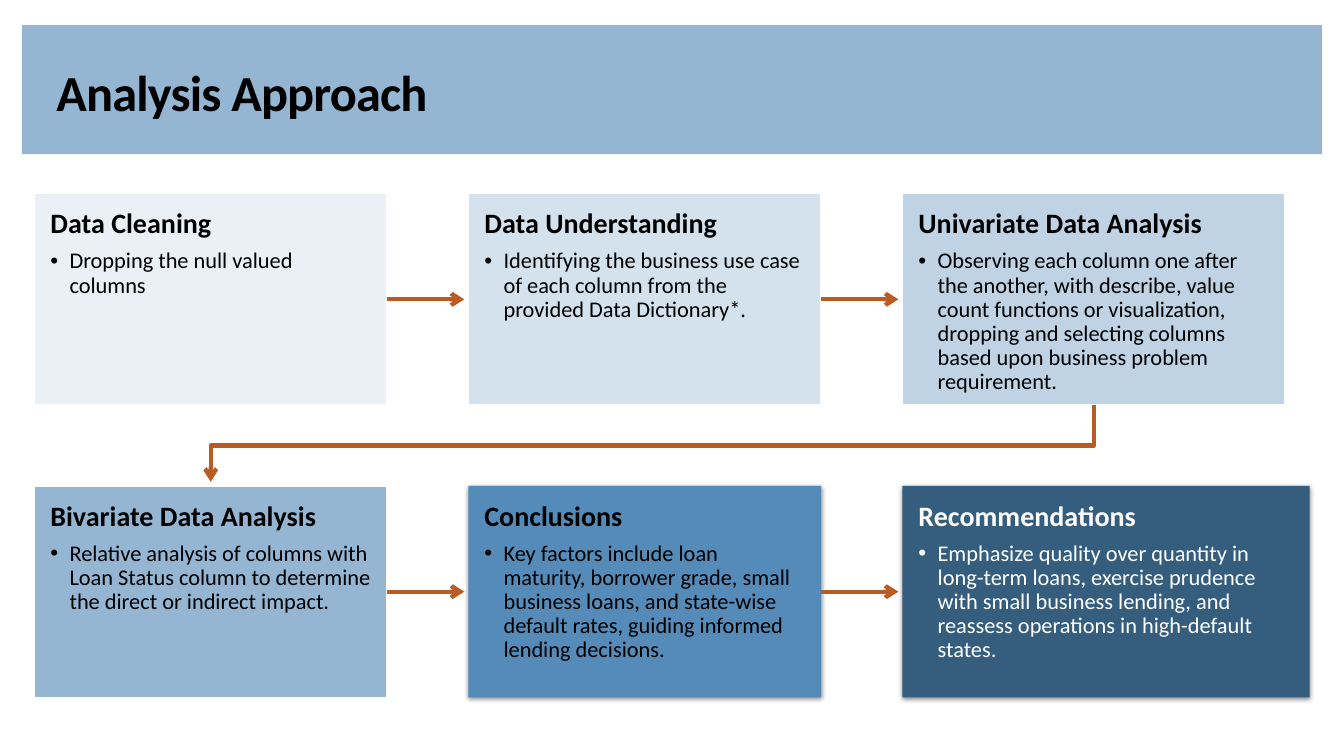
import dataclasses

import lxml.etree
import pptx
import pptx.dml.color
import pptx.enum.shapes
import pptx.enum.text
import pptx.oxml.ns
import pptx.util

Inches = pptx.util.Inches
Pt = pptx.util.Pt


@dataclasses.dataclass
class Theme:
    font: str = "Calibri"
    black: str = "000000"
    white: str = "FFFFFF"
    band: str = "94B6D2"
    arrow: str = "B95B22"
    fills: tuple = ("EAF0F6", "D4E2ED", "BFD3E4", "94B6D2", "558BB8", "355D7E")
    title: int = 36
    head: int = 20
    body: int = 16


STEPS = [
    ("Data Cleaning", "Dropping the null valued columns"),
    ("Data Understanding",
     "Identifying the business use case of each column from the provided Data Dictionary*."),
    ("Univariate Data Analysis",
     "Observing each column one after the another, with describe, value count functions or "
     "visualization, dropping and selecting columns based upon business problem requirement."),
    ("Bivariate Data Analysis",
     "Relative analysis of columns with Loan Status column to determine the direct or "
     "indirect impact."),
    ("Conclusions",
     "Key factors include loan maturity, borrower grade, small business loans, and "
     "state-wise default rates, guiding informed lending decisions."),
    ("Recommendations",
     "Emphasize quality over quantity in long-term loans, exercise prudence with small "
     "business lending, and reassess operations in high-default states."),
]
WIDTHS = (3.5, 3.5, 3.8, 3.5, 3.5, 4.04)
LEFT, TOP, HIGH = 0.34, 1.92, 2.1
STEP_X, STEP_Y = 4.305, 2.9
GAP = 0.04


def rgb(code):
    return pptx.dml.color.RGBColor.from_string(code)


def node(root, tag, **attrs):
    return lxml.etree.SubElement(root, pptx.oxml.ns.qn(tag), attrs)


def write(para, text, font, size, color, bold=False, after=0, track=None, dot=False):
    para.alignment = pptx.enum.text.PP_ALIGN.LEFT
    para.line_spacing = 0.9
    para.space_before = Pt(0)
    para.space_after = Pt(after)
    run = para.add_run()
    run.text = text
    run.font.name = font
    run.font.size = Pt(size)
    run.font.bold = bold
    run.font.color.rgb = rgb(color)
    if track is not None:
        run.font._element.set("spc", str(round(track * 100)))
    if dot:
        props = para._p.get_or_add_pPr()
        props.set("marL", str(Inches(0.19)))
        props.set("indent", str(Inches(-0.19)))
        node(props, "a:buFont", typeface="Arial")
        node(props, "a:buChar", char="•")


class Deck:
    def __init__(self, theme):
        self.theme = theme
        self.file = pptx.Presentation()
        self.file.slide_width = Inches(13.33)
        self.file.slide_height = Inches(7.5)
        self.slide = self.file.slides.add_slide(self.file.slide_layouts[5])

    def rect(self, x, y, wide, high, fill, edge=None):
        shape = self.slide.shapes.add_shape(
            pptx.enum.shapes.MSO_SHAPE.RECTANGLE,
            Inches(x), Inches(y), Inches(wide), Inches(high))
        shape.fill.solid()
        shape.fill.fore_color.rgb = rgb(fill)
        if edge:
            shape.line.color.rgb = rgb(edge)
            shape.line.width = Pt(1.35)
        else:
            shape.line.fill.background()
        shape.shadow.inherit = False
        return shape

    def title(self, text):
        band = self.rect(0.22, 0.25, 12.89, 1.28, self.theme.band)
        title = self.slide.shapes.title
        band._element.addnext(title._element)
        title.left, title.top = Inches(0.46), Inches(0.36)
        title.width, title.height = Inches(12.41), Inches(1.17)
        frame = title.text_frame
        frame.auto_size = pptx.enum.text.MSO_AUTO_SIZE.NONE
        frame.vertical_anchor = pptx.enum.text.MSO_ANCHOR.MIDDLE
        write(frame.paragraphs[0], text, self.theme.font, self.theme.title,
              self.theme.black, bold=True, track=-0.6)

    def card(self, x, y, wide, fill, head, body, color, raised):
        shape = self.rect(x, y, wide, HIGH, fill, None if raised else self.theme.white)
        if raised:
            self.shade(shape)
        frame = shape.text_frame
        frame.word_wrap = True
        frame.vertical_anchor = pptx.enum.text.MSO_ANCHOR.TOP
        frame.margin_left = frame.margin_right = Inches(0.16)
        frame.margin_top = frame.margin_bottom = Inches(0.16)
        write(frame.paragraphs[0], head, self.theme.font, self.theme.head, color,
              bold=True, after=7)
        write(frame.add_paragraph(), body, self.theme.font, self.theme.body, color,
              after=2.4, dot=True)
        return shape

    def shade(self, shape):
        effects = shape._element.spPr.find(pptx.oxml.ns.qn("a:effectLst"))
        cast = node(effects, "a:outerShdw", blurRad=str(Pt(3.5)), dist=str(Pt(1.1)),
                    dir="5400000", algn="ctr", rotWithShape="0")
        tint = node(cast, "a:srgbClr", val=self.theme.black)
        node(tint, "a:alpha", val="45000")

    def tip(self, line):
        line.line.color.rgb = rgb(self.theme.arrow)
        line.line.width = Pt(3)
        props = line._element.spPr
        node(props.find(pptx.oxml.ns.qn("a:ln")), "a:tailEnd", type="arrow")
        node(props, "a:effectLst")

    def arrow(self, start, end):
        y = start.top + start.height // 2
        line = self.slide.shapes.add_connector(
            pptx.enum.shapes.MSO_CONNECTOR.STRAIGHT,
            start.left + start.width, y, end.left - Inches(GAP), y)
        line.begin_connect(start, 3)
        self.tip(line)

    def bend(self, start, end):
        from_x = start.left + start.width // 2
        from_y = start.top + start.height
        to_x = end.left + end.width // 2
        to_y = end.top - Inches(GAP)
        mid_y = (from_y + end.top) // 2
        path = self.slide.shapes.build_freeform(from_x, from_y)
        path.add_line_segments([(from_x, mid_y), (to_x, mid_y), (to_x, to_y)], close=False)
        line = path.convert_to_shape()
        line.fill.background()
        self.tip(line)


def main():
    theme = Theme()
    deck = Deck(theme)
    deck.title("Analysis Approach")
    cards = []
    for i, (head, body) in enumerate(STEPS):
        row, col = divmod(i, 3)
        color = theme.white if i == 5 else theme.black
        cards.append(deck.card(LEFT + col * STEP_X, TOP + row * STEP_Y, WIDTHS[i],
                               theme.fills[i], head, body, color, raised=i > 3))
    for i, (start, end) in enumerate(zip(cards, cards[1:])):
        link = deck.bend if i == 2 else deck.arrow
        link(start, end)
    deck.file.save("out.pptx")


if __name__ == "__main__":
    main()
